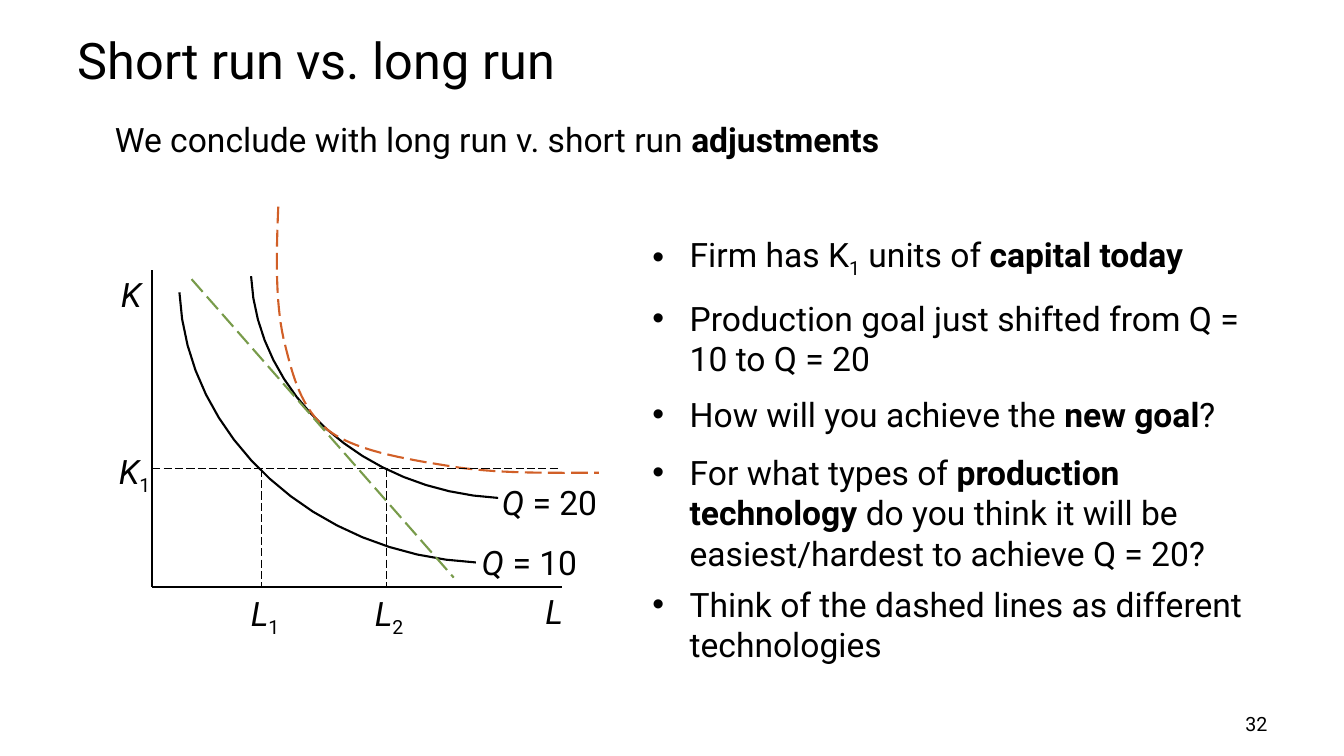
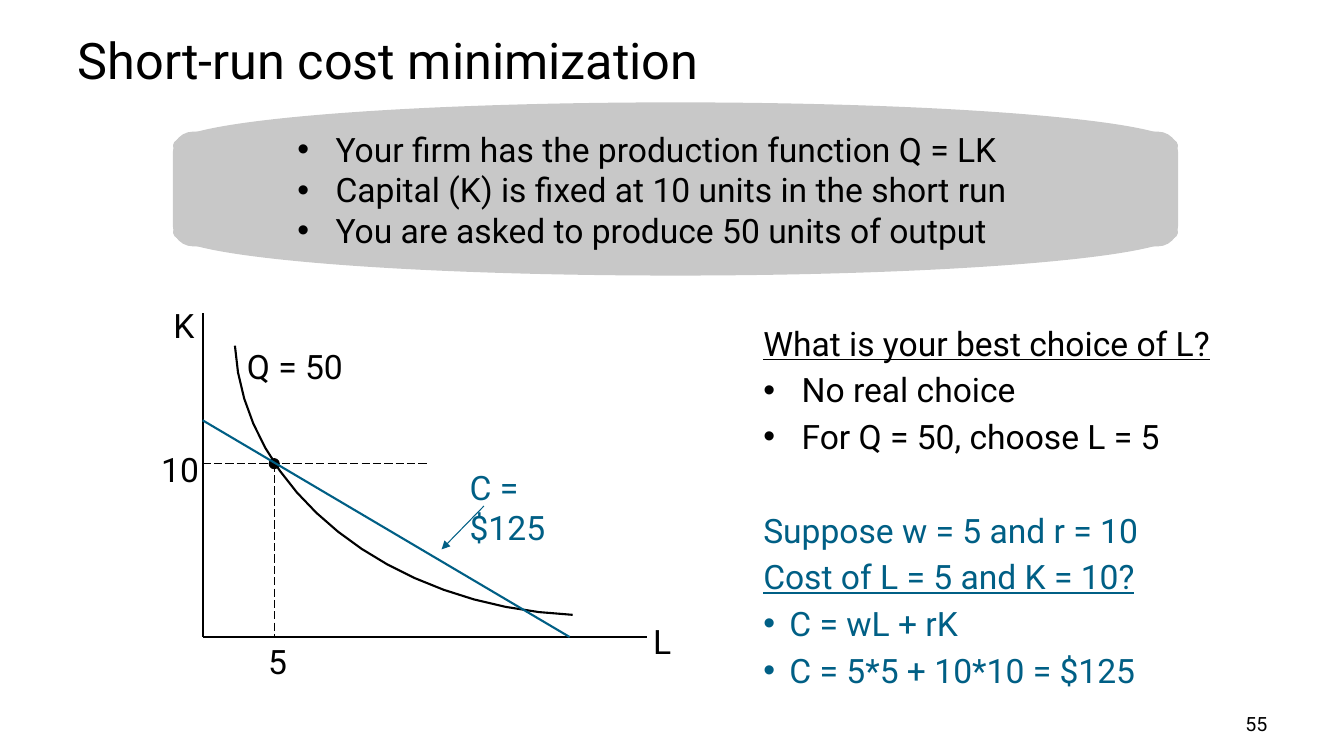
from lxml.etree import SubElement
from pptx import Presentation
from pptx.dml.color import RGBColor
from pptx.enum.dml import MSO_LINE as Dash
from pptx.enum.shapes import MSO_CONNECTOR as Link, MSO_SHAPE as Shape
from pptx.enum.text import MSO_ANCHOR as Anchor, MSO_AUTO_SIZE as Fit, PP_ALIGN as Align
from pptx.oxml.ns import qn
from pptx.util import Inches, Pt

BLACK = RGBColor(0x00, 0x00, 0x00)
GRAY = RGBColor(0xC8, 0xC8, 0xC8)
BLUE = RGBColor(0x00, 0x5F, 0x85)
GREEN = RGBColor(0x78, 0x9B, 0x4A)
ORANGE = RGBColor(0xD1, 0x5F, 0x27)
FONT = "Roboto"
STEPS = 16  # straight pieces per curve section


# Text
def style(para, size=24, color=BLACK):
    font = para.font
    font.name, font.size, font.color.rgb = FONT, Pt(size), color


def write(para, parts):
    """Parts are plain strings or (text, marks); marks: b, i, u, s (subscript)."""
    for part in [parts] if isinstance(parts, str) else parts:
        text, marks = (part, "") if isinstance(part, str) else part
        run = para.add_run()
        run.text = text
        if "b" in marks:
            run.font.bold = True
        if "i" in marks:
            run.font.italic = True
        if "u" in marks:
            run.font.underline = True
        if "s" in marks:
            run._r.get_or_add_rPr().set("baseline", "-25000")


def bullet(para, indent):
    """Hang the text by indent; zero means no bullet."""
    props = para._p.get_or_add_pPr()
    props.set("marL", str(Inches(indent)))
    props.set("indent", str(-Inches(indent)))
    if indent:
        SubElement(props, qn("a:buFont"), typeface="Arial")
        SubElement(props, qn("a:buChar"), char="•")
    else:
        SubElement(props, qn("a:buNone"))


def fill_list(frame, items):
    """Items are (parts, indent, space before, color)."""
    frame.word_wrap = True
    frame.auto_size = Fit.NONE
    for n, (parts, indent, gap, color) in enumerate(items):
        para = frame.paragraphs[0] if n == 0 else frame.add_paragraph()
        para.space_before = Pt(gap)
        bullet(para, indent)
        style(para, color=color)
        write(para, parts)


def label(slide, x, y, width, parts, size=24, color=BLACK, height=0.5):
    frame = slide.shapes.add_textbox(
        Inches(x), Inches(y), Inches(width), Inches(height)).text_frame
    frame.word_wrap = True
    frame.margin_right = 0
    para = frame.paragraphs[0]
    style(para, size, color)
    write(para, parts)
    return para


# Drawing
def ink(line, color, width, dash=None):
    line.color.rgb, line.width = color, Pt(width)
    if dash:
        line.dash_style = dash


def line(slide, start, end, color=BLACK, width=1.5, dash=None, arrow=False):
    link = slide.shapes.add_connector(
        Link.STRAIGHT, *(Inches(v) for v in (*start, *end)))
    ink(link.line, color, width, dash)
    props = link._element.spPr
    if arrow:
        SubElement(props.find(qn("a:ln")), qn("a:tailEnd"), type="triangle")
    SubElement(props, qn("a:effectLst"))


def guide(slide, start, end):
    line(slide, start, end, width=0.75, dash=Dash.LONG_DASH)


def axes(slide, x, y, top, right):
    line(slide, (x, top), (x, y))
    line(slide, (x, y), (right, y))


def bezier(a, b, c, d, t):
    s = 1 - t
    return tuple(Inches(s**3 * p + 3 * s * s * t * q + 3 * s * t * t * r + t**3 * e)
                 for p, q, r, e in zip(a, b, c, d))


def curve(slide, knots, color=BLACK, dash=None):
    """Chain of cubic sections: start, then three knots per section."""
    dots = [bezier(*knots[k:k + 4], n / STEPS)
            for k in range(0, len(knots) - 1, 3) for n in range(1, STEPS + 1)]
    x, y = knots[0]
    path = slide.shapes.build_freeform(Inches(x), Inches(y))
    path.add_line_segments(dots, close=False)
    shape = path.convert_to_shape()
    shape.shadow.inherit = False
    shape.fill.background()
    ink(shape.line, color, 1.5, dash)


def solid(slide, kind, x, y, width, height, color, edge):
    shape = slide.shapes.add_shape(
        kind, Inches(x), Inches(y), Inches(width), Inches(height))
    shape.shadow.inherit = False
    shape.fill.solid()
    shape.fill.fore_color.rgb = color
    ink(shape.line, color, edge)


# Shared frame: title, body list and slide number
def place(holder, x, y, width, height):
    holder.left, holder.top = Inches(x), Inches(y)
    holder.width, holder.height = Inches(width), Inches(height)


def new_slide(deck, title, number, box, items):
    slide = deck.slides.add_slide(deck.slide_layouts[1])
    head, body = slide.placeholders
    place(head, 0.67, 0.23, 12, 0.71)
    frame = head.text_frame
    frame.auto_size = Fit.NONE
    frame.vertical_anchor = Anchor.MIDDLE
    para = frame.paragraphs[0]
    para.alignment = Align.LEFT
    style(para, 36)
    write(para, title)
    place(body, *box)
    fill_list(body.text_frame, items)
    label(slide, 9.56, 7.01, 3.01, number, 14, height=0.34).alignment = Align.RIGHT
    return slide


def long_run(deck):
    items = [
        (["Firm has K", ("1", "s"), " units of ", ("capital today", "b")], 0),
        ("Production goal just shifted from Q = 10 to Q = 20", 13),
        (["How will you achieve the ", ("new goal", "b"), "?"], 11),
        (["For what types of ", ("production technology ", "b"),
          "do you think it will be easiest/hardest to achieve Q = 20?"], 12.5),
        ("Think of the dashed lines as different technologies", 8),
    ]
    slide = new_slide(deck, "Short run vs. long run", "32", (6.37, 2.27, 6.07, 4.34),
                      [(parts, 0.37, gap, BLACK) for parts, gap in items])
    label(slide, 1.04, 1.05, 9.06, ["We conclude with long run v. short run ",
                                    ("adjustments", "b")]).line_spacing = 1.2
    # Isoquants and technologies
    left, base, level = 1.51, 5.82, 4.65
    axes(slide, left, base, 2.68, 5.57)
    curve(slide, [(4.94, 4.94), (3.61, 4.87), (2.55, 3.92), (2.49, 2.74)])
    curve(slide, [(4.72, 5.58), (3.12, 5.5), (1.85, 4.34), (1.78, 2.9)])
    curve(slide, [(2.76, 2.05), (2.74, 2.51), (2.73, 2.98), (2.81, 3.35),
                  (2.9, 3.72), (2.98, 4.06), (3.27, 4.28),
                  (3.56, 4.49), (4.12, 4.57), (4.56, 4.64),
                  (5.01, 4.7), (5.47, 4.69), (5.94, 4.69)], ORANGE, Dash.LONG_DASH)
    line(slide, (1.9, 2.77), (4.5, 5.73), GREEN, dash=Dash.LONG_DASH)
    guide(slide, (left, level), (5.56, level))
    for x, tag, sub in ((2.59, 2.39, "1"), (3.83, 3.62, "2")):
        guide(slide, (x, level), (x, base))
        label(slide, tag, 5.83, 0.5, [("L", "i"), (sub, "s")])
    # Labels
    label(slide, 4.88, 4.73, 1.14, [("Q ", "i"), "= 20"])
    label(slide, 4.68, 5.33, 1.33, [("Q", "i"), " = 10"])
    label(slide, 1.1, 2.67, 0.41, [("K", "i")])
    label(slide, 5.31, 5.81, 0.41, [("L", "i")])
    label(slide, 1.08, 4.42, 0.52, [("K", "i"), ("1", "s")])


def short_run(deck):
    gap = 4.6
    items = [
        ([("What is your best choice of L?", "u")], 0, 0, BLACK),
        ("No real choice", 0.38, gap, BLACK),
        ("For Q = 50, choose L = 5", 0.38, gap, BLACK),
        ("Suppose w = 5 and r = 10", 0, 38, BLUE),
        ([("Cost of L = 5 and K = 10?", "u")], 0, gap, BLUE),
        ("C = wL + rK", 0.26, gap, BLUE),
        ("C = 5*5 + 10*10 = $125", 0.26, gap, BLUE),
    ]
    slide = new_slide(deck, "Short-run cost minimization", "55",
                      (7.47, 3.15, 4.84, 3.9), items)
    # Problem band
    for kind, y, height in ((Shape.ROUNDED_RECTANGLE, 1.32, 1.11),
                            (Shape.OVAL, 1.03, 0.83), (Shape.OVAL, 1.89, 0.83)):
        solid(slide, kind, 1.73, y, 9.94, height, GRAY, 2)
    facts = slide.shapes.add_textbox(
        Inches(2.85), Inches(1.23), Inches(7.71), Inches(1.31))
    fill_list(facts.text_frame, [(text, 0.38, 0, BLACK) for text in (
        "Your firm has the production function Q = LK",
        "Capital (K) is fixed at 10 units in the short run",
        "You are asked to produce 50 units of output")])
    # Isoquant and cost line
    left, base, x, y = 2.01, 6.32, 2.72, 4.6
    axes(slide, left, base, 3.11, 6.42)
    curve(slide, [(5.68, 6.1), (3.86, 6.02), (2.41, 4.87), (2.33, 3.43)])
    guide(slide, (left, y), (4.25, y))
    guide(slide, (x, y), (x, base))
    solid(slide, Shape.OVAL, x - 0.05, y - 0.05, 0.1, 0.1, BLACK, 0.75)
    line(slide, (left, 4.17), (5.65, base), BLUE)
    line(slide, (4.8, 5.02), (4.38, 5.45), BLUE, 0.75, arrow=True)
    # Labels
    label(slide, 1.62, 2.98, 0.69, "K")
    label(slide, 6.38, 6.11, 0.34, "L")
    label(slide, 1.5, 4.4, 0.69, "10")
    label(slide, 2.56, 6.31, 0.69, "5")
    label(slide, 2.35, 3.38, 1.33, "Q = 50")
    label(slide, 4.56, 4.58, 1.26, "C = $125", color=BLUE)


def main():
    deck = Presentation()
    deck.slide_width, deck.slide_height = Inches(13.33), Inches(7.5)
    long_run(deck)
    short_run(deck)
    deck.save("out.pptx")


if __name__ == "__main__":
    main()
